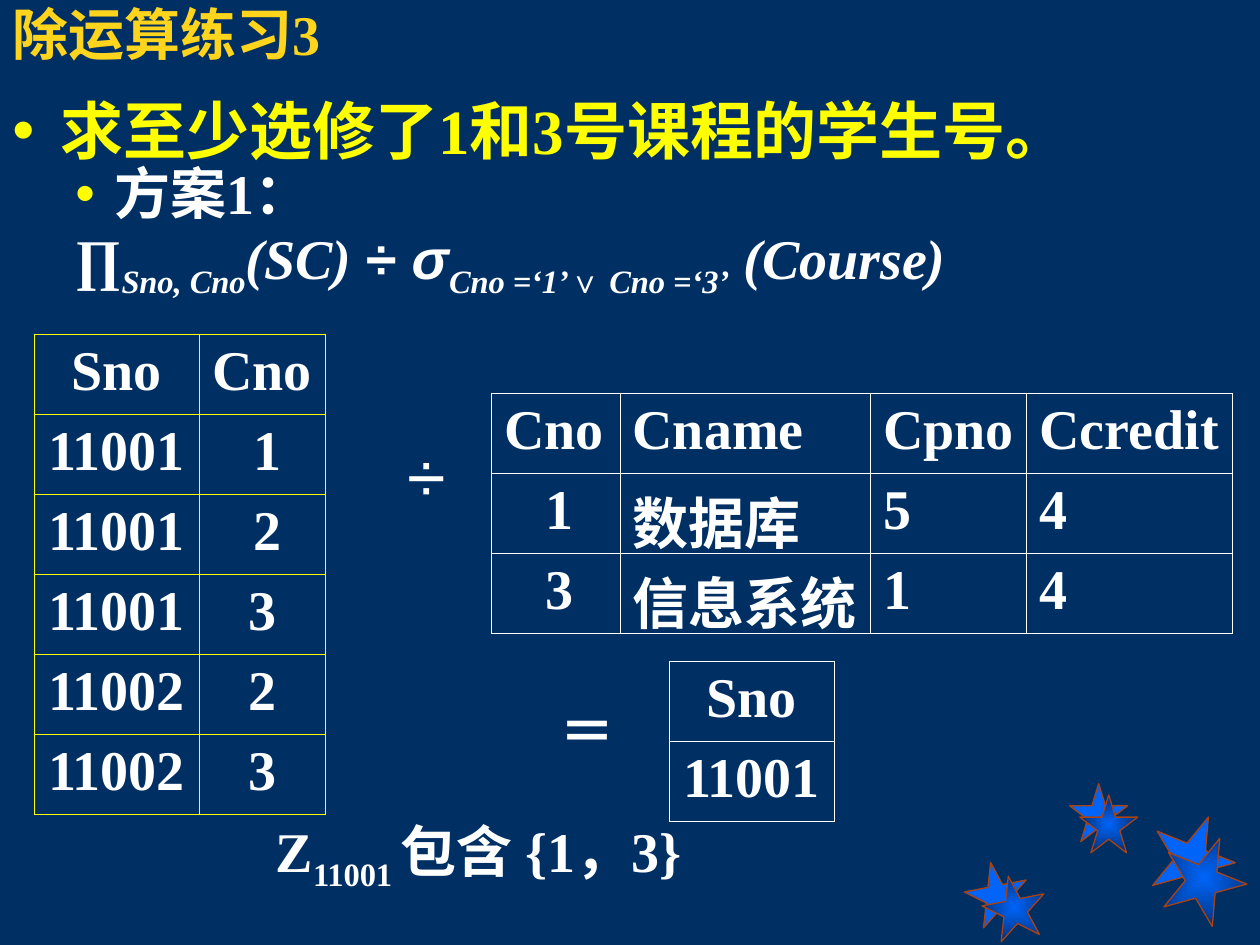
from lxml import etree
from pptx import Presentation
from pptx import util as u
from pptx.dml.color import RGBColor
from pptx.enum import shapes, text
from pptx.oxml import parse_xml
from pptx.oxml.ns import qn

HUES = {"back": "003063", "title": "FFD41D", "lead": "FFFF00", "text": "FFFFFF",
        "star": "0064F8", "deep": "002E72", "edge": "A94113"}
SERIF, SANS, HAN = "Times New Roman", "Arial", "Noto Sans CJK SC"
COLS, ROWS = 100, 75
NS = 'xmlns:a="http://schemas.openxmlformats.org/drawingml/2006/main"'
LEFT, MID, JUST = (text.PP_ALIGN.LEFT, text.PP_ALIGN.CENTER, text.PP_ALIGN.JUSTIFY)
SUB = {"sub": True}


def hue(name):
    return RGBColor.from_string(HUES[name])


class Deck:
    def __init__(self):
        self.file = Presentation()
        self.file.slide_width, self.file.slide_height = u.Inches(10), u.Inches(7.5)
        self.unit = self.file.slide_width / COLS
        self.slide = self.file.slides.add_slide(self.file.slide_layouts[6])
        fill = self.slide.background.fill
        fill.solid()
        fill.fore_color.rgb = hue("back")

    def span(self, *cells):
        """Turn grid columns or rows into slide lengths."""
        return [u.Emu(round(c * self.unit)) for c in cells]

    def run(self, para, words, size=32, color="text", face=SERIF, bold=True,
            slant=False, sub=False):
        run = para.add_run()
        run.text = words
        font = run.font
        font.size, font.name, font.bold, font.italic = u.Pt(size), face, bold, slant
        font.color.rgb = hue(color)
        prop = font._element
        if sub:
            prop.set("baseline", "-25000")
        etree.SubElement(prop, qn("a:ea")).set("typeface", HAN)

    def box(self, *place, anchor=text.MSO_ANCHOR.TOP, wrap=True):
        frame = self.slide.shapes.add_textbox(*self.span(*place)).text_frame
        frame.word_wrap, frame.vertical_anchor = wrap, anchor
        return frame

    def line(self, frame, runs, align=LEFT, first=True, **look):
        """Fill the first paragraph, or add one, with (words, style) runs."""
        para = frame.paragraphs[0] if first else frame.add_paragraph()
        para.alignment = align
        for words, style in runs:
            self.run(para, words, **{**look, **style})
        return para

    def hang(self, para, left, back, dot):
        prop = para._p.get_or_add_pPr()
        edge, step = self.span(left, -back)
        prop.set("marL", str(edge))
        prop.set("indent", str(step))
        para.line_spacing = 0.87
        if dot:
            tint = etree.SubElement(prop, qn("a:buClr"))
            etree.SubElement(tint, qn("a:srgbClr")).set("val", HUES["lead"])
            etree.SubElement(prop, qn("a:buFont")).set("typeface", SANS)
            etree.SubElement(prop, qn("a:buChar")).set("char", "•")
        else:
            etree.SubElement(prop, qn("a:buNone"))

    def table(self, left, top, wide, rows, mid=(), inset=(), rule="text", high=6.36):
        """mid lists centred columns; inset lists (row, column) cells set in."""
        place = self.span(left, top, sum(wide), high * len(rows))
        grid = self.slide.shapes.add_table(len(rows), len(wide), *place).table
        grid.first_row = grid.horz_banding = False
        for col, width in zip(grid.columns, self.span(*wide)):
            col.width = width
        for r, row in enumerate(rows):
            for c, words in enumerate(row):
                cell = grid.cell(r, c)
                for side in "LRTB":
                    cell._tc.get_or_add_tcPr().append(parse_xml(
                        f'<a:ln{side} {NS} w="5715"><a:solidFill><a:srgbClr '
                        f'val="{HUES[rule]}"/></a:solidFill></a:ln{side}>'))
                cell.fill.background()
                if (r, c) in inset:
                    cell.margin_left = self.span(4.33)[0]
                centred = c in mid and (r, c) not in inset
                self.line(cell.text_frame, [(words, {})], MID if centred else LEFT)

    def star(self, left, top, size, turn, shade):
        star = self.slide.shapes.add_shape(
            shapes.MSO_SHAPE.STAR_5_POINT, *self.span(left, top, size, size))
        star.rotation = turn
        star.shadow.inherit = False
        star.fill.solid()
        star.fill.fore_color.rgb = hue("star")
        star.line.color.rgb, star.line.width = hue("edge"), u.Pt(0.75)
        if shade:
            prop = star._element.spPr
            stops = "".join(f'<a:gs pos="{pos}"><a:srgbClr val="{HUES[name]}"/></a:gs>'
                            for pos, name in ((0, "star"), (100000, "deep")))
            prop.replace(prop.find(qn("a:solidFill")), parse_xml(
                f'<a:gradFill {NS}><a:gsLst>{stops}</a:gsLst><a:path path="rect">'
                '<a:fillToRect l="50000" t="50000" r="50000" b="50000"/>'
                '</a:path></a:gradFill>'))


def main():
    deck = Deck()
    stars = [(76.6, 68.4, 5, 349, 1.4, 1.1), (84.9, 62.2, 4.6, 0, 0.8, 0.9),
             (91.3, 64.6, 6.7, 22, 0.9, 1.7)]
    for front in (0, 1):
        for left, top, size, turn, right, down in stars:
            deck.star(left + front * right, top + front * down, size, turn, front)

    title = deck.box(0, 0, 29.5, 5.2, anchor=text.MSO_ANCHOR.MIDDLE)
    deck.line(title, [("除运算练习3", {})], color="title")

    body = deck.box(0, 7.6, COLS, ROWS - 7.6)
    lead = deck.line(body, [("求至少选修了1和3号课程的学生号。", {})], JUST,
                     size=36, color="lead")
    deck.hang(lead, 3.8, 3.8, True)
    plan = deck.line(body, [("方案1：", {})], JUST, first=False)
    deck.hang(plan, 8.1, 3.1, True)
    query = deck.line(body, [
        ("∏", {}), ("Sno, Cno", SUB), ("(SC) ", {}), ("÷ σ", {"face": SANS}),
        ("Cno =‘1’", SUB), ("∨", {"face": SANS, **SUB}), (" Cno =‘3’", SUB),
        (" (Course)", {})], JUST, first=False, slant=True)
    deck.hang(query, 8.1, 3.1, False)

    deck.table(39, 31.2, (10.2, 19.9, 12.4, 16.3), [
        ("Cno", "Cname", "Cpno", "Ccredit"),
        ("1", "数据库", "5", "4"),
        ("3", "信息系统", "1", "4")], inset=[(1, 0), (2, 0)])
    deck.line(deck.box(31.1, 33.8, 5.5, 7.7), [("÷", {})], MID,
              size=40, face=SANS, bold=False)
    deck.line(deck.box(43.3, 54.8, 6.7, 6.4), [("＝", {})], MID, face=HAN)
    deck.line(deck.box(20.9, 64.3, 47.3, 7.1),
              [("Z", {}), ("11001 ", SUB), ("包含 {1，3}", {})])
    deck.table(2.7, 26.5, (13.1, 10), [
        ("Sno", "Cno"), ("11001", "1"), ("11001", "2"), ("11001", "3"),
        ("11002", "2"), ("11002", "3")], mid=(0, 1), inset=[(1, 1), (2, 1)],
        rule="lead")
    deck.table(53.1, 52.5, (13.1,), [("Sno",), ("11001",)], mid=(0,))
    deck.file.save("out.pptx")


if __name__ == "__main__":
    main()
